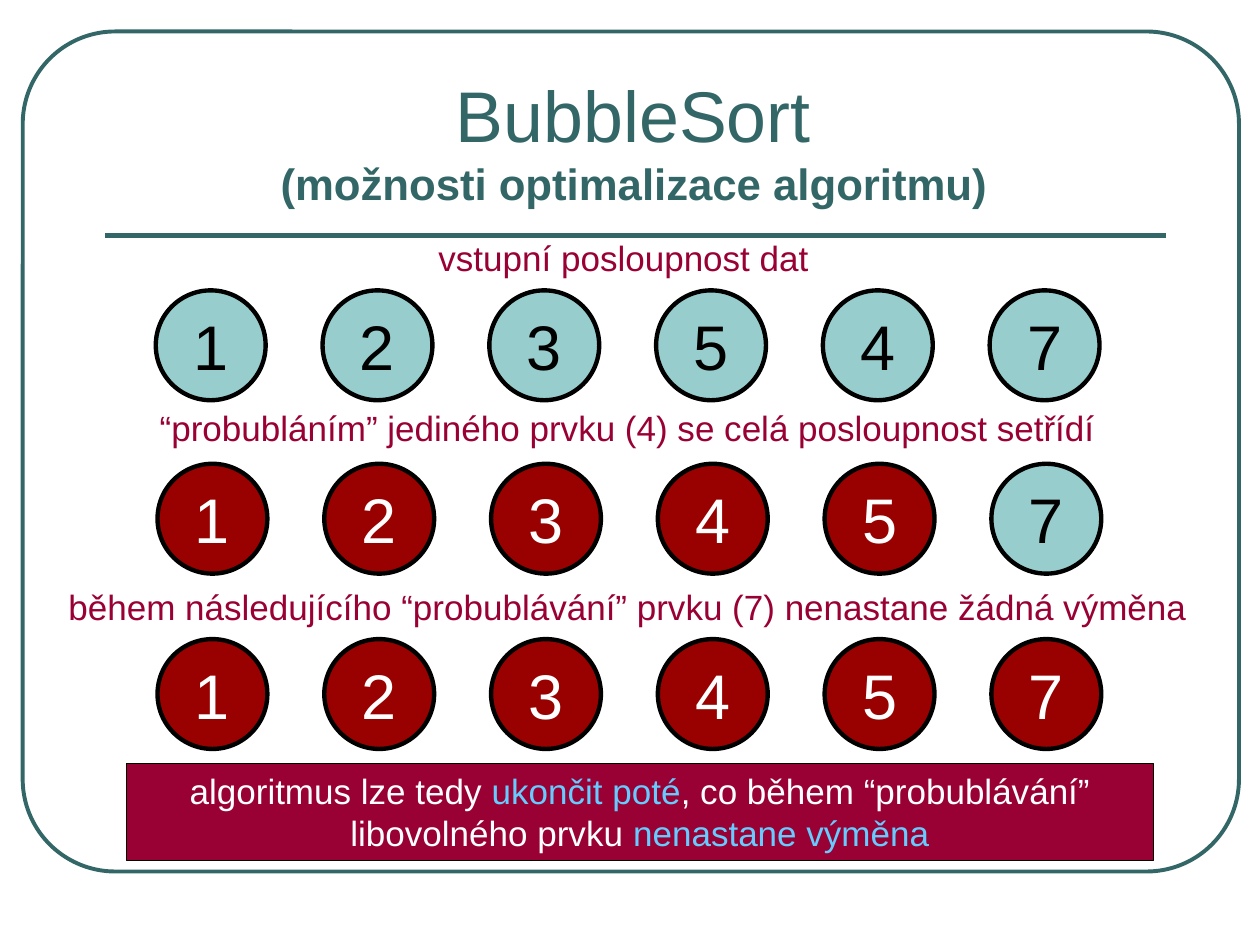
from dataclasses import dataclass

from lxml.etree import SubElement
from pptx import Presentation
from pptx.dml.color import RGBColor
from pptx.enum.shapes import MSO_CONNECTOR, MSO_SHAPE
from pptx.enum.text import MSO_ANCHOR, MSO_AUTO_SIZE, PP_ALIGN
from pptx.oxml.ns import qn
from pptx.slide import Slide
from pptx.util import Pt

TEAL = RGBColor(0x33, 0x66, 0x66)
AQUA = RGBColor(0x97, 0xCD, 0xCC)
RED = RGBColor(0x99, 0x00, 0x00)
CRIMSON = RGBColor(0x99, 0x00, 0x33)
SKY = RGBColor(0x66, 0xCC, 0xFF)
BLACK = RGBColor(0x00, 0x00, 0x00)
WHITE = RGBColor(0xFF, 0xFF, 0xFF)

FONT = "Arial"
DIAMETER = 62.8
PITCH = 95.3


@dataclass
class Caption:
    text: str
    left: float
    top: float
    width: float
    wrap: bool = False


@dataclass
class Sequence:
    values: str
    sorted_count: int
    left: float
    top: float


CAPTIONS = [
    Caption("vstupní posloupnost dat", 201.6, 131.8, 309.6, True),
    Caption("“probubláním” jediného prvku (4) se celá posloupnost setřídí", 67.7, 228.5, 581.8),
    Caption("během následujícího “probublávání” prvku (7) nenastane žádná výměna", 15, 331, 687.6),
]
SEQUENCES = [
    Sequence("123547", 0, 89, 165.9),
    Sequence("123457", 5, 90, 265),
    Sequence("123457", 6, 90, 365.2),
]
CONCLUSION = [
    ("algoritmus lze tedy ", WHITE),
    ("ukončit poté", SKY),
    (", co během “probublávání” libovolného prvku ", WHITE),
    ("nenastane výměna", SKY),
]


def style_run(r, size: float, color: RGBColor, bold: bool = False) -> None:
    r.font.name = FONT
    r.font.size = Pt(size)
    r.font.bold = bold
    r.font.color.rgb = color


def add_title(s: Slide) -> None:
    sp = s.shapes.title
    sp.left, sp.top, sp.width, sp.height = Pt(59), Pt(33.1), Pt(606.2), Pt(90)
    tf = sp.text_frame
    tf.auto_size = MSO_AUTO_SIZE.NONE
    tf.vertical_anchor = MSO_ANCHOR.BOTTOM
    tf.text = "BubbleSort\v(možnosti optimalizace algoritmu)"
    p = tf.paragraphs[0]
    p.alignment = PP_ALIGN.CENTER
    style_run(p.runs[0], 41, TEAL)
    style_run(p.runs[1], 25, TEAL, True)


def add_frame(s: Slide) -> None:
    sp = s.shapes.add_shape(MSO_SHAPE.ROUNDED_RECTANGLE, Pt(13), Pt(18), Pt(695), Pt(480))
    sp.adjustments[0] = 0.11
    sp.shadow.inherit = False
    sp.fill.background()
    sp.line.color.rgb = TEAL
    sp.line.width = Pt(2.25)
    rule = s.shapes.add_connector(MSO_CONNECTOR.STRAIGHT, Pt(60), Pt(134.6), Pt(666), Pt(134.6))
    rule.line.color.rgb = TEAL
    rule.line.width = Pt(3)
    SubElement(rule._element.spPr, qn("a:effectLst"))


def add_caption(s: Slide, c: Caption) -> None:
    sp = s.shapes.add_textbox(Pt(c.left), Pt(c.top), Pt(c.width), Pt(31.5))
    tf = sp.text_frame
    tf.word_wrap = c.wrap
    tf.auto_size = MSO_AUTO_SIZE.SHAPE_TO_FIT_TEXT
    tf.text = c.text
    p = tf.paragraphs[0]
    p.alignment = PP_ALIGN.CENTER
    style_run(p.runs[0], 20, CRIMSON)


def add_sequence(s: Slide, seq: Sequence) -> None:
    for i, value in enumerate(seq.values):
        done = i < seq.sorted_count
        sp = s.shapes.add_shape(MSO_SHAPE.OVAL, Pt(seq.left + i * PITCH), Pt(seq.top),
                                Pt(DIAMETER), Pt(DIAMETER))
        sp.shadow.inherit = False
        sp.fill.solid()
        sp.fill.fore_color.rgb = RED if done else AQUA
        sp.line.color.rgb = BLACK
        sp.line.width = Pt(2.5)
        tf = sp.text_frame
        tf.word_wrap = False
        tf.vertical_anchor = MSO_ANCHOR.MIDDLE
        tf.text = value
        p = tf.paragraphs[0]
        p.alignment = PP_ALIGN.CENTER
        style_run(p.runs[0], 36, WHITE if done else BLACK)


def add_conclusion(s: Slide) -> None:
    sp = s.shapes.add_shape(MSO_SHAPE.RECTANGLE, Pt(72.2), Pt(436.4), Pt(587), Pt(55.2))
    sp.shadow.inherit = False
    sp.fill.solid()
    sp.fill.fore_color.rgb = CRIMSON
    sp.line.color.rgb = BLACK
    sp.line.width = Pt(0.75)
    tf = sp.text_frame
    tf.word_wrap = True
    tf.auto_size = MSO_AUTO_SIZE.SHAPE_TO_FIT_TEXT
    tf.vertical_anchor = MSO_ANCHOR.TOP
    p = tf.paragraphs[0]
    p.alignment = PP_ALIGN.CENTER
    for text, color in CONCLUSION:
        r = p.add_run()
        r.text = text
        style_run(r, 20, color)


def main() -> None:
    prs = Presentation()
    prs.slide_width, prs.slide_height = Pt(720), Pt(540)
    s = prs.slides.add_slide(prs.slide_layouts[5])
    add_frame(s)
    add_title(s)
    for caption, sequence in zip(CAPTIONS, SEQUENCES):
        add_caption(s, caption)
        add_sequence(s, sequence)
    add_conclusion(s)
    prs.save("out.pptx")


if __name__ == "__main__":
    main()
